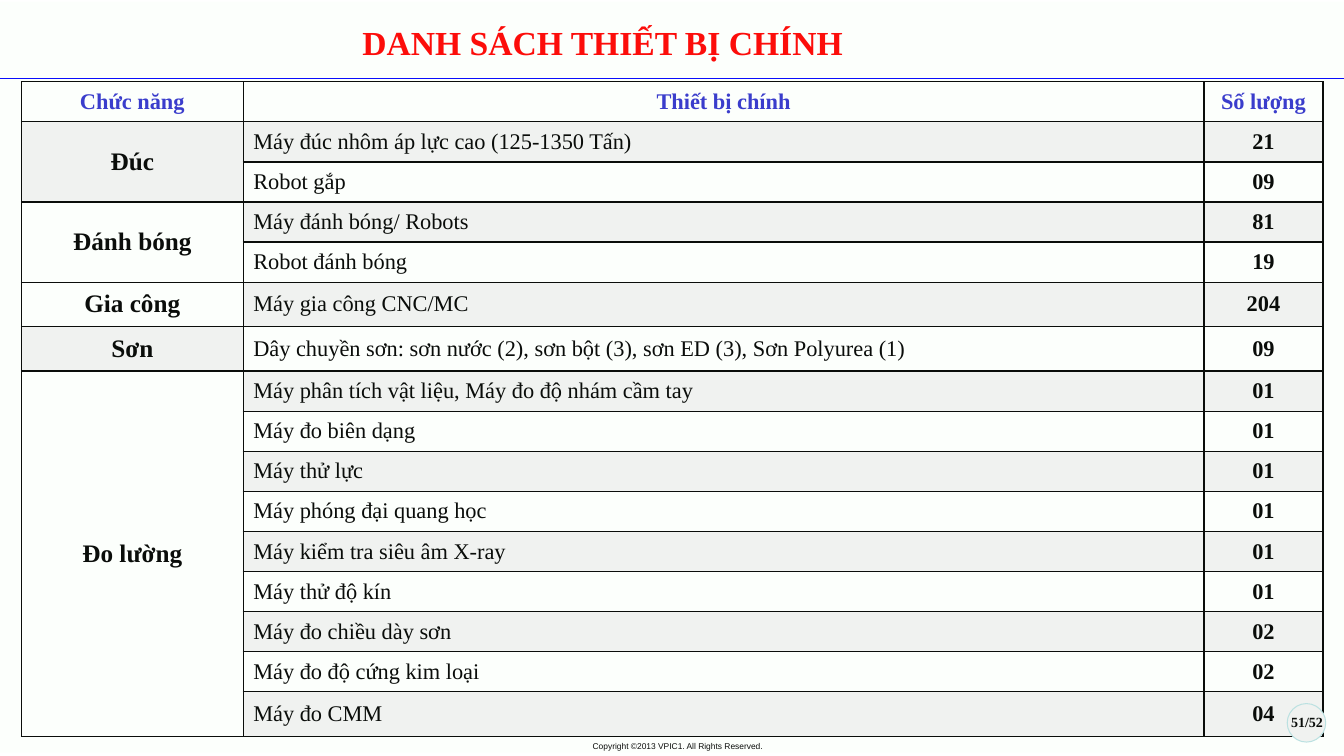
from dataclasses import dataclass

from lxml.etree import SubElement
from pptx import Presentation
from pptx.dml.color import RGBColor
from pptx.enum.shapes import MSO_CONNECTOR, MSO_SHAPE
from pptx.enum.text import MSO_ANCHOR as Anchor, PP_ALIGN as Align
from pptx.oxml.ns import qn
from pptx.util import Cm, Pt

SERIF = "Times New Roman"
BLACK, WHITE, GREY = "000000", "FFFFFF", "F2F2F2"
HEADER_BLUE = "3333CC"
SLIDE_W, SLIDE_H = 33.87, 19.05


@dataclass
class Style:
    size: float
    color: str = BLACK
    bold: bool = True
    font: str = SERIF
    align: Align = Align.CENTER


@dataclass
class Group:
    """One function with its (machine, quantity) rows."""
    name: str
    fill: str
    machines: list[tuple[str, str]]


HEADER = Style(16, HEADER_BLUE)
GROUP_NAME = Style(18)
MACHINE = Style(16, bold=False, align=Align.LEFT)
QUANTITY = Style(16)

COLUMNS = {"Chức năng": 5.59, "Thiết bị chính": 24.21, "Số lượng": 3.0}
ROW_H, TALL_ROW_H = 1.01, 1.12
TALL_ROWS = {5, 6, 15}
GROUPS = [
    Group("Đúc", GREY, [
        ("Máy đúc nhôm áp lực cao (125-1350 Tấn)", "21"),
        ("Robot gắp", "09"),
    ]),
    Group("Đánh bóng", WHITE, [
        ("Máy đánh bóng/ Robots", "81"),
        ("Robot đánh bóng", "19"),
    ]),
    Group("Gia công", WHITE, [("Máy gia công CNC/MC", "204")]),
    Group("Sơn", GREY, [
        ("Dây chuyền sơn: sơn nước (2), sơn bột (3), sơn ED (3), Sơn Polyurea (1)", "09"),
    ]),
    Group("Đo lường", WHITE, [
        ("Máy phân tích vật liệu, Máy đo độ nhám cầm tay", "01"),
        ("Máy đo biên dạng", "01"),
        ("Máy thử lực", "01"),
        ("Máy phóng đại quang học", "01"),
        ("Máy kiểm tra siêu âm X-ray", "01"),
        ("Máy thử độ kín", "01"),
        ("Máy đo chiều dày sơn", "02"),
        ("Máy đo độ cứng kim loại", "02"),
        ("Máy đo CMM", "04"),
    ]),
]


def rgb(color: str) -> RGBColor:
    return RGBColor.from_string(color)


def write(tf, text: str, style: Style) -> None:
    tf.text = text
    p = tf.paragraphs[0]
    p.alignment = style.align
    font = p.runs[0].font
    font.name, font.size, font.bold = style.font, Pt(style.size), style.bold
    font.color.rgb = rgb(style.color)


def add_text(shapes, text: str, box: tuple, style: Style,
             anchor: Anchor = Anchor.MIDDLE, wrap: bool = True) -> None:
    tf = shapes.add_textbox(*map(Cm, box)).text_frame
    tf.word_wrap = wrap
    tf.vertical_anchor = anchor
    write(tf, text, style)


def add_plain_shape(shapes, kind: MSO_SHAPE, box: tuple, fill: str, line: str = ""):
    s = shapes.add_shape(kind, *map(Cm, box))
    s.shadow.inherit = False
    s.fill.solid()
    s.fill.fore_color.rgb = rgb(fill)
    if line:
        s.line.color.rgb = rgb(line)
        s.line.width = Pt(0.75)
    else:
        s.line.fill.background()
    return s


def add_rule(shapes, y: float, color: str) -> None:
    line = shapes.add_connector(MSO_CONNECTOR.STRAIGHT, 0, Cm(y), Cm(SLIDE_W), Cm(y))
    line.line.color.rgb = rgb(color)
    line.line.width = Pt(0.75)
    SubElement(line._element.spPr, qn("a:effectLst"))


def fill_cell(cell, text: str, fill: str, style: Style) -> None:
    cell.vertical_anchor = Anchor.MIDDLE
    cell.fill.solid()
    cell.fill.fore_color.rgb = rgb(fill)
    write(cell.text_frame, text, style)


def add_borders(cell) -> None:
    tc_pr = cell._tc.get_or_add_tcPr()
    for side in ("a:lnL", "a:lnR", "a:lnT", "a:lnB"):
        ln = SubElement(tc_pr, qn(side), w=str(Pt(1)))
        SubElement(SubElement(ln, qn("a:solidFill")), qn("a:srgbClr"), val=BLACK)


def add_equipment_table(shapes) -> None:
    row_count = 1 + sum(len(g.machines) for g in GROUPS)
    heights = [TALL_ROW_H if i in TALL_ROWS else ROW_H for i in range(row_count)]
    box = (0.54, 2.06, sum(COLUMNS.values()), sum(heights))
    table = shapes.add_table(row_count, len(COLUMNS), *map(Cm, box)).table
    table.first_row = table.horz_banding = False
    for row, height in zip(table.rows, heights):
        row.height = Cm(height)
    for cell in table.iter_cells():
        add_borders(cell)
    for i, (title, width) in enumerate(COLUMNS.items()):
        table.columns[i].width = Cm(width)
        fill_cell(table.cell(0, i), title, WHITE, HEADER)

    row = 1
    for group in GROUPS:
        name_cell = table.cell(row, 0)
        if len(group.machines) > 1:
            name_cell.merge(table.cell(row + len(group.machines) - 1, 0))
        fill_cell(name_cell, group.name, group.fill, GROUP_NAME)
        for machine, quantity in group.machines:
            band = GREY if row % 2 else WHITE
            fill_cell(table.cell(row, 1), machine, band, MACHINE)
            fill_cell(table.cell(row, 2), quantity, band, QUANTITY)
            row += 1


def add_page_badge(shapes) -> None:
    badge = shapes.add_group_shape().shapes
    add_plain_shape(badge, MSO_SHAPE.OVAL, (32.44, 17.73, 0.97, 0.97), GREY, "BBE0E3")
    add_text(badge, "51/52", (32.23, 17.86, 1.42, 0.69), Style(10), Anchor.TOP)


def add_tint(shapes) -> None:
    """Cover the slide with a 5 % green veil."""
    veil = add_plain_shape(shapes, MSO_SHAPE.RECTANGLE, (0, 0.05, SLIDE_W, 18.92), "CCFFCC")
    color = veil._element.spPr.find(qn("a:solidFill")).find(qn("a:srgbClr"))
    SubElement(color, qn("a:alpha"), val="5000")


def main() -> None:
    prs = Presentation()
    prs.slide_width, prs.slide_height = Cm(SLIDE_W), Cm(SLIDE_H)
    shapes = prs.slides.add_slide(prs.slide_layouts[6]).shapes
    add_text(shapes, "Copyright ©2013 VPIC1. All Rights Reserved.",
             (10.54, 18.54, 13.08, 0.51), Style(6, bold=False, font="Arial"))
    add_rule(shapes, 1.98, "0000FF")
    add_text(shapes, "DANH SÁCH THIẾT BỊ CHÍNH", (6.93, 0.53, 16.51, 1.07),
             Style(24, "FF0000"), wrap=False)
    add_equipment_table(shapes)
    add_page_badge(shapes)
    add_tint(shapes)
    prs.save("out.pptx")


if __name__ == "__main__":
    main()
